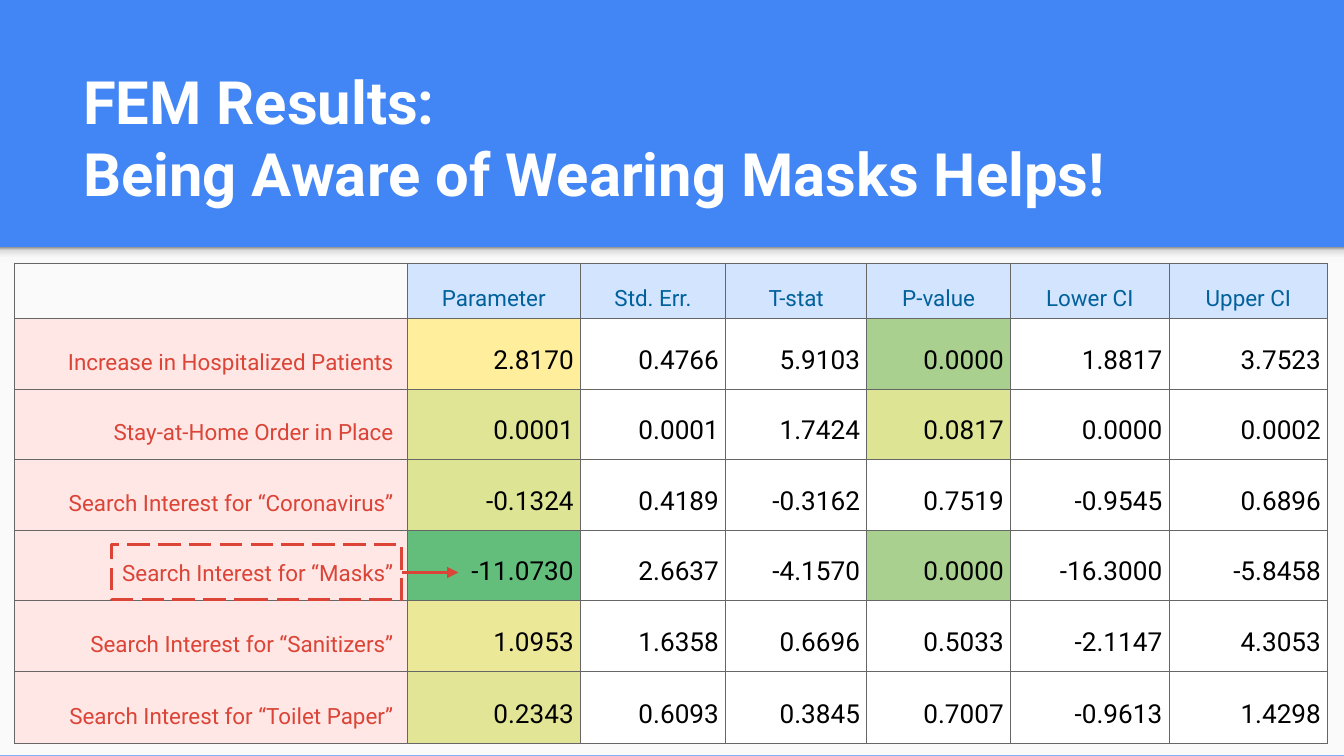
from copy import deepcopy

from lxml import etree
from pptx import Presentation
from pptx.dml.color import RGBColor
from pptx.enum.dml import MSO_LINE
from pptx.enum.shapes import MSO_CONNECTOR, MSO_SHAPE
from pptx.enum.text import MSO_ANCHOR, PP_ALIGN
from pptx.oxml import parse_xml
from pptx.oxml.ns import nsdecls, qn
from pptx.util import Inches, Pt

RECT = MSO_SHAPE.RECTANGLE
STRAIGHT = MSO_CONNECTOR.STRAIGHT
DASH = MSO_LINE.LONG_DASH
BOTTOM = MSO_ANCHOR.BOTTOM
LEFT, CENTER, RIGHT = PP_ALIGN.LEFT, PP_ALIGN.CENTER, PP_ALIGN.RIGHT

BLUE = RGBColor(0x42, 0x85, 0xF4)
PAPER = RGBColor(0xFA, 0xFA, 0xFA)
WHITE = RGBColor(0xFF, 0xFF, 0xFF)
BLACK = RGBColor(0, 0, 0)
RED = RGBColor(0xDB, 0x44, 0x37)
PINK = RGBColor(0xFF, 0xE7, 0xE5)
NAVY = RGBColor(0x00, 0x61, 0x9B)
SKY = RGBColor(0xD3, 0xE4, 0xFF)
YELLOW = RGBColor(0xFF, 0xEF, 0x9C)
LIME = RGBColor(0xDF, 0xE5, 0x95)
OLIVE = RGBColor(0xDD, 0xE4, 0x94)
SAND = RGBColor(0xEB, 0xE8, 0x97)
MOSS = RGBColor(0xE1, 0xE5, 0x95)
LEAF = RGBColor(0xA9, 0xD0, 0x8E)
GREEN = RGBColor(0x63, 0xBE, 0x7B)
SHADE = [
    (0, RGBColor(0xF9, 0xF9, 0xF9)),
    (0.36, RGBColor(0xF9, 0xF9, 0xF9)),
    (0.8, RGBColor(0xDE, 0xDE, 0xDE)),
    (1, RGBColor(0x99, 0x99, 0x99)),
]
GRID = "666666"

HEADS = ["", "Parameter", "Std. Err.", "T-stat", "P-value", "Lower CI", "Upper CI"]
ROWS = [
    ["Increase in Hospitalized Patients", "2.8170", "0.4766", "5.9103", "0.0000", "1.8817", "3.7523"],
    ["Stay-at-Home Order in Place", "0.0001", "0.0001", "1.7424", "0.0817", "0.0000", "0.0002"],
    ["Search Interest for “Coronavirus”", "-0.1324", "0.4189", "-0.3162", "0.7519", "-0.9545", "0.6896"],
    ["Search Interest for “Masks”", "-11.0730", "2.6637", "-4.1570", "0.0000", "-16.3000", "-5.8458"],
    ["Search Interest for “Sanitizers”", "1.0953", "1.6358", "0.6696", "0.5033", "-2.1147", "4.3053"],
    ["Search Interest for “Toilet Paper”", "0.2343", "0.6093", "0.3845", "0.7007", "-0.9613", "1.4298"],
]
WIDTHS = [2.92, 1.29, 1.08, 1.05, 1.07, 1.18, 1.18]
HEIGHTS = [0.41, 0.53, 0.52, 0.53, 0.52, 0.53, 0.53]
PARAMS = [YELLOW, LIME, OLIVE, GREEN, SAND, MOSS]
TINTS = {(row, 1): tint for row, tint in enumerate(PARAMS, 1)}
TINTS.update({(1, 4): LEAF, (2, 4): OLIVE, (4, 4): LEAF})


class Deck:
    """Holds the shared style and the current slide."""

    def __init__(self, wide, back, font):
        self.show = Presentation()
        self.show.slide_width = Inches(wide)
        self.show.slide_height = Inches(wide * 9 / 16)
        self.slide = self.show.slides.add_slide(self.show.slide_layouts[6])
        self.slide.background.fill.solid()
        self.slide.background.fill.fore_color.rgb = back
        self.shapes = self.slide.shapes
        self.font = font

    def style(self, frame, size, color, align, bold=False, space=None):
        for para in frame.paragraphs:
            para.alignment = align
            para.line_spacing = space
            for run in para.runs:
                run.font.name = self.font
                run.font.size = Pt(size)
                run.font.bold = bold
                run.font.color.rgb = color

    def inset(self, item, left, right, top, low):
        item.margin_left, item.margin_right = Inches(left), Inches(right)
        item.margin_top, item.margin_bottom = Inches(top), Inches(low)
        item.vertical_anchor = BOTTOM

    def rect(self, box, fill=None, line=None):
        shape = self.shapes.add_shape(RECT, *map(Inches, box))
        shape.shadow.inherit = False
        if fill is None:
            shape.fill.background()
        else:
            shape.fill.solid()
            shape.fill.fore_color.rgb = fill
        if line is None:
            shape.line.fill.background()
        else:
            shape.line.color.rgb = line
            shape.line.width = Pt(1.5)
            shape.line.dash_style = DASH
        return shape

    def fade(self, box, stops):
        shape = self.rect(box)
        shape.fill.gradient()
        shape.fill.gradient_angle = 90
        group = shape.element.spPr.find(".//" + qn("a:gsLst"))
        for _ in stops[2:]:
            group.append(deepcopy(group[0]))
        for stop, (place, color) in zip(shape.fill.gradient_stops, stops):
            stop.position = place
            stop.color.rgb = color

    def title(self, box, text, size, color):
        frame = self.shapes.add_textbox(*map(Inches, box)).text_frame
        frame.word_wrap = True
        self.inset(frame, 0.1, 0.1, 0.1, 0.1)
        frame.text = text
        self.style(frame, size, color, LEFT, True)

    def cell(self, cell, text, row, col):
        cell.text = text
        if row == 0:
            self.inset(cell, 0.01, 0.01, 0.01, 0.05)
            self.style(cell.text_frame, 12, NAVY, CENTER, space=1.15)
            fill = SKY if col else PAPER
        elif col == 0:
            self.inset(cell, 0.01, 0.1, 0.05, 0.1)
            self.style(cell.text_frame, 12, RED, RIGHT)
            fill = PINK
        else:
            self.inset(cell, 0.01, 0.05, 0.05, 0.1)
            self.style(cell.text_frame, 14, BLACK, RIGHT, space=1.15)
            fill = TINTS.get((row, col), WHITE)
        props = cell._tc.get_or_add_tcPr()
        for side in "LRTB":
            props.append(parse_xml(
                f'<a:ln{side} {nsdecls("a")} w="{Pt(0.5)}"><a:solidFill>'
                f'<a:srgbClr val="{GRID}"/></a:solidFill></a:ln{side}>'))
        cell.fill.solid()
        cell.fill.fore_color.rgb = fill

    def table(self, left, top, widths, heights, data):
        box = map(Inches, (left, top, sum(widths), sum(heights)))
        table = self.shapes.add_table(len(heights), len(widths), *box).table
        table.first_row = table.horz_banding = False
        for col, width in zip(table.columns, widths):
            col.width = Inches(width)
        for row, height in zip(table.rows, heights):
            row.height = Inches(height)
        for row, texts in enumerate(data):
            for col, text in enumerate(texts):
                self.cell(table.cell(row, col), text, row, col)

    def arrow(self, ends, color):
        link = self.shapes.add_connector(STRAIGHT, *map(Inches, ends))
        link.line.color.rgb = color
        link.line.width = Pt(1.5)
        props = link.element.spPr
        etree.SubElement(props.find(qn("a:ln")), qn("a:tailEnd"), type="triangle")
        etree.SubElement(props, qn("a:effectLst"))


deck = Deck(10, BLUE, "Roboto")
deck.rect((0, 1.84, 10, 3.78), PAPER)
deck.fade((0, 1.84, 10, 0.12), SHADE)
deck.title((0.52, 0.81, 8.99, 0.84),
           "FEM Results: \nBeing Aware of Wearing Masks Helps!", 32, WHITE)
deck.table(0.11, 1.96, WIDTHS, HEIGHTS, [HEADS] + ROWS)
deck.rect((0.83, 4.05, 2.16, 0.41), line=RED)
deck.arrow((2.99, 4.26, 3.41, 4.26), RED)
deck.show.save("out.pptx")
